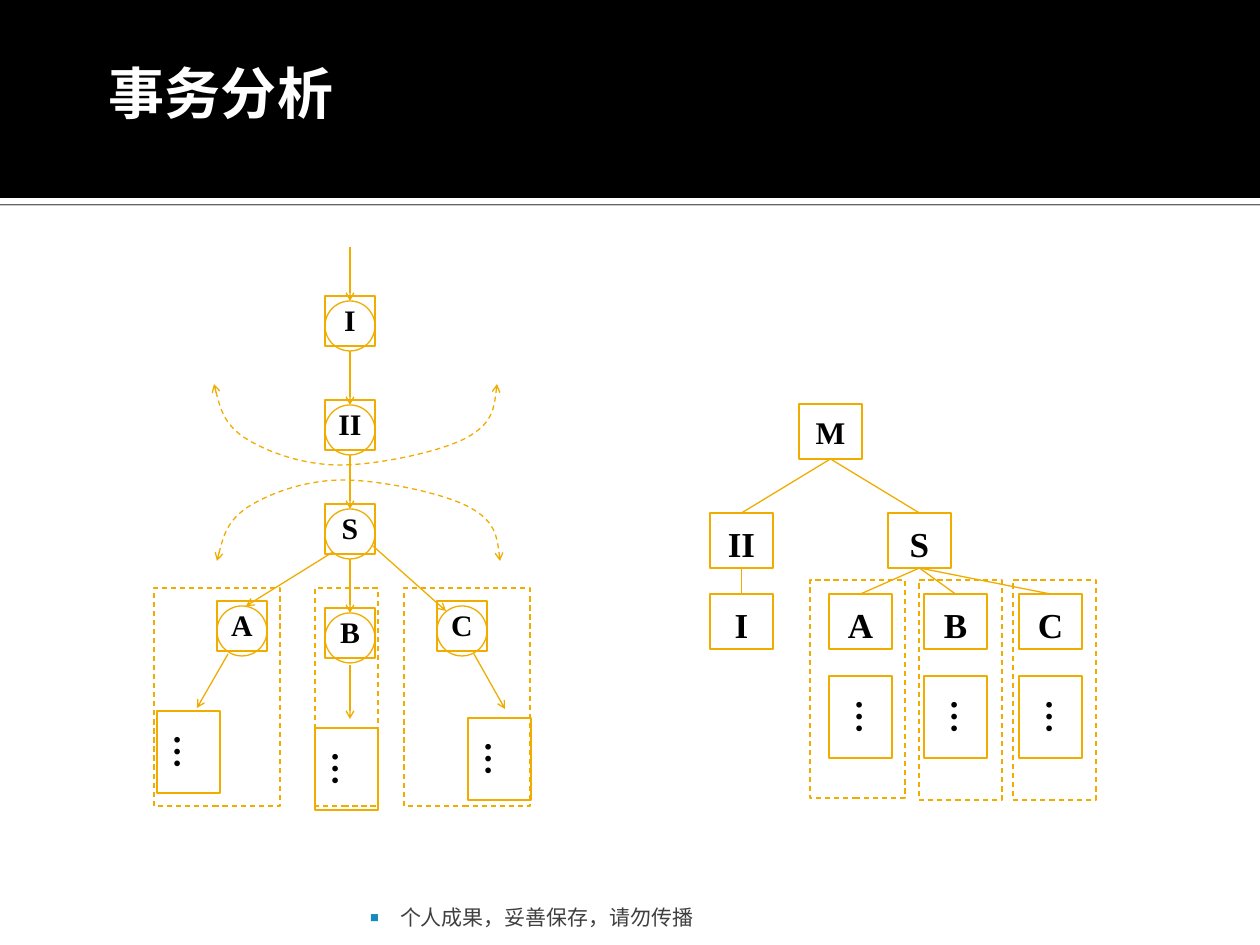
from lxml import etree
from pptx import Presentation
from pptx.dml.color import RGBColor
from pptx.enum.dml import MSO_LINE
from pptx.enum.shapes import MSO_CONNECTOR, MSO_SHAPE
from pptx.enum.text import MSO_ANCHOR, MSO_AUTO_SIZE, PP_ALIGN
from pptx.oxml import parse_xml
from pptx.oxml.ns import nsdecls, qn
from pptx.util import Pt

EMU_PER_PX = 914400 / 126
WIDTH, HEIGHT = 1260, 945

BLACK = RGBColor(0x00, 0x00, 0x00)
WHITE = RGBColor(0xFF, 0xFF, 0xFF)
GOLD = RGBColor(0xF0, 0xAD, 0x00)
GREY = RGBColor(0x3F, 0x3F, 0x3F)
BULLET_BLUE = RGBColor(0x16, 0x8B, 0xBA)

NODE_FONT = "Times New Roman"
HEADING_FONT = "Lato"
ARC = [(0, 0), (5, 20), (10, 40), (31, 54), (53, 68), (89, 81), (126, 81),
       (163, 81), (226, 68), (252, 54), (278, 40), (281, 20), (283, 0)]


def px(value):
    return round(value * EMU_PER_PX)


def write(shape, text, size, color=BLACK, font=NODE_FONT, bold=True,
          align=PP_ALIGN.CENTER, anchor=MSO_ANCHOR.TOP, insets=(0, 0, 0, 0),
          spacing=1.0, before=0, wrap=True, vertical=False):
    frame = shape.text_frame
    frame.auto_size = MSO_AUTO_SIZE.NONE
    frame.word_wrap = wrap
    frame.vertical_anchor = anchor
    (frame.margin_left, frame.margin_top,
     frame.margin_right, frame.margin_bottom) = map(px, insets)
    if vertical:
        frame._txBody.bodyPr.set("vert", "eaVert")
    paragraph = frame.paragraphs[0]
    paragraph.alignment = align
    paragraph.line_spacing = spacing
    paragraph.space_before = Pt(before)
    run = paragraph.add_run()
    run.text = text
    run.font.name, run.font.size, run.font.bold = font, Pt(size), bold
    run.font.color.rgb = color
    return paragraph


def place(shape, x, y, width, height):
    shape.left, shape.top, shape.width, shape.height = map(px, (x, y, width, height))


def stroke(line, dashed=False):
    line.color.rgb = GOLD
    line.width = Pt(0.75)
    if dashed:
        line.dash_style = MSO_LINE.DASH


def add_arrowheads(line_owner, *ends):
    ln = line_owner.line._get_or_add_ln()
    for end in ends:
        etree.SubElement(ln, qn(f"a:{end}"), type="arrow", w="sm", len="sm")


def outline(slide, x, y, width, height, kind=MSO_SHAPE.RECTANGLE, dashed=False):
    shape = slide.shapes.add_shape(kind, *map(px, (x, y, width, height)))
    shape.shadow.inherit = False
    shape.fill.background()
    stroke(shape.line, dashed)
    return shape


def connect(slide, start=(0, 0), end=(0, 0), arrow=False):
    connector = slide.shapes.add_connector(
        MSO_CONNECTOR.STRAIGHT, *map(px, (*start, *end)))
    stroke(connector.line)
    etree.SubElement(connector._element.spPr, qn("a:effectLst"))
    if arrow:
        add_arrowheads(connector, "tailEnd")
    return connector


def add_arc(slide, x, y, points):
    """Draw a dashed chain of cubic curves with an arrowhead at each end."""
    corners = [(px(x + dx), px(y + dy)) for dx, dy in points]
    builder = slide.shapes.build_freeform(*corners[0], scale=1.0)
    builder.add_line_segments(corners[1:], close=False)
    arc = builder.convert_to_shape()
    arc.shadow.inherit = False
    arc.fill.background()
    stroke(arc.line, dashed=True)
    add_arrowheads(arc, "headEnd", "tailEnd")
    outline_path = next(arc._element.iter(qn("a:path")))
    segments = outline_path.findall(qn("a:lnTo"))
    for first in range(0, len(segments), 3):
        curve = etree.SubElement(outline_path, qn("a:cubicBezTo"))
        for segment in segments[first:first + 3]:
            curve.append(segment[0])
            outline_path.remove(segment)


def add_ellipsis_box(slide, x, y, right_inset):
    box = outline(slide, x, y, 63, 82)
    write(box, "…", 20, insets=(0, 23, right_inset, 23), vertical=True)


def add_header(slide, x, y, width, height):
    title = slide.shapes.title
    for top, depth, color in ((height, 6, WHITE), (0, height, BLACK)):
        band = slide.shapes.add_shape(
            MSO_SHAPE.RECTANGLE, *map(px, (x, y + top, width, depth)))
        band.shadow.inherit = False
        band.fill.solid()
        band.fill.fore_color.rgb = color
        band.line.fill.background()
        if color == WHITE:
            band._element.spPr.find(qn("a:effectLst")).append(parse_xml(
                f'<a:outerShdw {nsdecls("a")} blurRad="0" dist="10160" dir="5400000">'
                '<a:srgbClr val="000000"><a:alpha val="60000"/></a:srgbClr>'
                '</a:outerShdw>'))
        title._element.addprevious(band._element)
    place(title, x + 96, y + 66, 249, 67)
    write(title, "事务分析", 32, color=WHITE, font=HEADING_FONT, align=PP_ALIGN.LEFT,
          insets=(13, 6, 0, 6), spacing=0.8, before=8, wrap=False)


def add_footer(slide, x, y, width, height):
    note = slide.placeholders[1]
    place(note, x, y, width, height)
    paragraph = write(note, "个人成果，妥善保存，请勿传播", 12, color=GREY,
                      font=HEADING_FONT, bold=False, align=PP_ALIGN.LEFT,
                      anchor=MSO_ANCHOR.BOTTOM, insets=(6, 6, 6, 0),
                      spacing=0.8, before=3)
    properties = paragraph._p.get_or_add_pPr()
    properties.set("marL", str(px(30)))
    properties.set("indent", str(px(-30)))
    color = etree.SubElement(properties, qn("a:buClr"))
    etree.SubElement(color, qn("a:srgbClr"), val=str(BULLET_BLUE))
    etree.SubElement(properties, qn("a:buSzPct"), val="70000")
    etree.SubElement(properties, qn("a:buChar"), char="■")


def add_structure_tree(slide, x, y):
    places = {"M": (89, 0), "II": (0, 109), "I": (0, 190), "S": (178, 109)}
    places.update({name: (119 + 95 * i, 190) for i, name in enumerate("ABC")})
    nodes = {}
    for name, (dx, dy) in places.items():
        nodes[name] = outline(slide, x + dx, y + dy, 63, 55)
        write(nodes[name], name, 18 if name == "M" else 20,
              insets=(2, 1, 2, 1), spacing=1.2)
    for parent, child in ("M", "II"), ("II", "I"), ("M", "S"), *(("S", c) for c in "ABC"):
        link = connect(slide)
        link.begin_connect(nodes[parent], 2)
        link.end_connect(nodes[child], 0)
    for name in "ABC":
        add_ellipsis_box(slide, x + places[name][0], y + 272, 0)
    for dx, width, height in (100, 95, 218), (209, 83, 220), (303, 83, 220):
        outline(slide, x + dx, y + 176, width, height, dashed=True)


def add_data_flow(slide, x, y):
    add_arc(slide, x + 60, y + 137, ARC)
    add_arc(slide, x + 63, y + 233, [(dx, 81 - dy) for dx, dy in ARC])
    for dx, width in (0, 126), (161, 63), (250, 126):
        outline(slide, x + dx, y + 341, width, 218, dashed=True)

    places = {name: (171, 49 + 104 * i) for i, name in enumerate(("I", "II", "S", "B"))}
    arrows = [((196, dy - 49), (196, dy + 5)) for _, dy in places.values()]
    places.update(A=(63, 354), C=(283, 354))
    for name, (dx, dy) in places.items():
        label = outline(slide, x + dx, y + dy, 50, 50)
        write(label, name, 17, insets=(0, 10, 0, 1), spacing=0.9)
        outline(slide, x + dx, y + dy + 5, 50, 50, MSO_SHAPE.OVAL)

    arrows += [((179, 305), (92, 359)), ((219, 299), (292, 364)),
               ((74, 407), (43, 461)), ((196, 418), (196, 472)),
               ((320, 407), (351, 462))]
    for (x1, y1), (x2, y2) in arrows:
        connect(slide, (x + x1, y + y1), (x + x2, y + y2), arrow=True)
    for dx, dy in (3, 464), (161, 481), (314, 471):
        add_ellipsis_box(slide, x + dx, y + dy, 10)


def main():
    presentation = Presentation()
    presentation.slide_width, presentation.slide_height = px(WIDTH), px(HEIGHT)
    slide = presentation.slides.add_slide(presentation.slide_layouts[1])
    add_header(slide, 0, 0, WIDTH, 198)
    add_footer(slide, 364, 892, 759, 38)
    add_structure_tree(slide, 710, 404)
    add_data_flow(slide, 154, 247)
    presentation.save("out.pptx")


if __name__ == "__main__":
    main()
